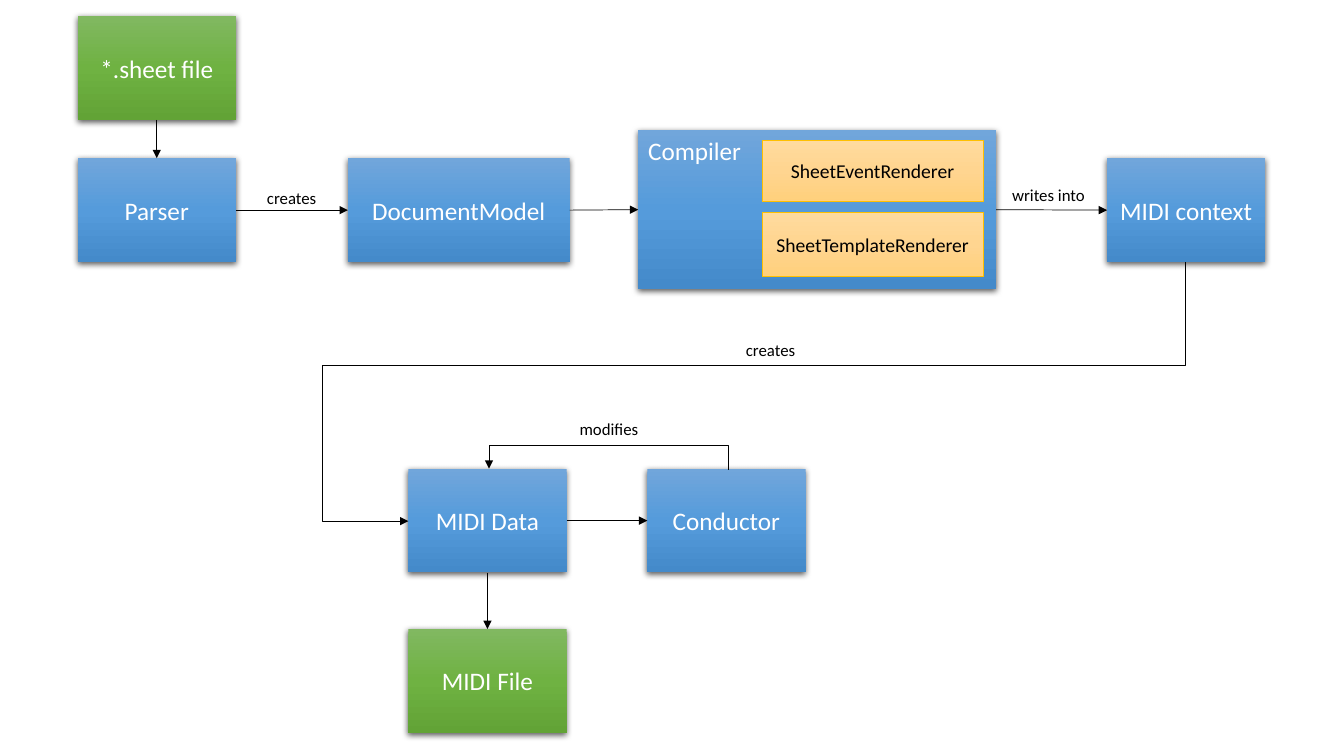
from copy import deepcopy

from lxml.etree import SubElement
from pptx import Presentation
from pptx.dml.color import RGBColor
from pptx.enum.shapes import MSO_CONNECTOR, MSO_SHAPE
from pptx.enum.text import MSO_ANCHOR, MSO_AUTO_SIZE, PP_ALIGN
from pptx.oxml.ns import qn
from pptx.util import Inches, Pt

BLUE = ("71A6DB", "559BDB", "448ACA")
GREEN = ("81B861", "6FB242", "62A336")
AMBER = ("FFDB9E", "FFD590", "FFD07C")
BOX_W, BOX_H = 1.57, 1.03
TOP, LEFT, BOTTOM, RIGHT = range(4)


def rgb(value):
    return RGBColor.from_string(value)


def set_text(tf, text, size=18, color="FFFFFF", align=None, anchor=MSO_ANCHOR.TOP,
             wrap=True):
    tf.word_wrap = wrap
    tf.vertical_anchor = anchor
    p = tf.paragraphs[0]
    p.alignment = align
    r = p.add_run()
    r.text = text
    r.font.name, r.font.size = "Calibri", Pt(size)
    r.font.color.rgb = rgb(color)


def set_gradient(sp, colors):
    sp.fill.gradient()
    sp.fill.gradient_angle = 270
    stops = sp._element.spPr.find(qn("a:gradFill")).find(qn("a:gsLst"))
    stops.append(deepcopy(stops[0]))
    for i, (stop, color) in enumerate(zip(sp.fill.gradient_stops, colors)):
        stop.position = i / 2
        stop.color.rgb = rgb(color)


def add_shadow(sp):
    effects = sp._element.spPr.find(qn("a:effectLst"))
    shadow = SubElement(effects, qn("a:outerShdw"), blurRad=str(Pt(4.5)),
                        dist=str(Pt(1.5)), dir="5400000", algn="ctr", rotWithShape="0")
    color = SubElement(shadow, qn("a:srgbClr"), val="000000")
    SubElement(color, qn("a:alpha"), val="63000")


def add_box(s, text, x, y, w=BOX_W, h=BOX_H, colors=BLUE, border=None, **text_format):
    sp = s.shapes.add_shape(MSO_SHAPE.RECTANGLE, Inches(x), Inches(y), Inches(w), Inches(h))
    sp.shadow.inherit = False
    set_gradient(sp, colors)
    if border:
        sp.line.color.rgb = rgb(border)
        sp.line.width = Pt(0.5)
    else:
        sp.line.fill.background()
        add_shadow(sp)
    set_text(sp.text_frame, text,
             **{"align": PP_ALIGN.CENTER, "anchor": MSO_ANCHOR.MIDDLE, **text_format})
    return sp


def add_label(s, text, x, y, w=0.7):
    box = s.shapes.add_textbox(Inches(x), Inches(y), Inches(w), Inches(0.3))
    set_text(box.text_frame, text, size=12, color="000000", wrap=False)
    box.text_frame.auto_size = MSO_AUTO_SIZE.SHAPE_TO_FIT_TEXT


def style_arrow(cxn):
    cxn.line.color.rgb = rgb("000000")
    cxn.line.width = Pt(0.5)
    SubElement(cxn.line._get_or_add_ln(), qn("a:tailEnd"), type="triangle")
    SubElement(cxn._element.spPr, qn("a:effectLst"))


def add_arrow(s, source, target, start=RIGHT, end=LEFT):
    cxn = s.shapes.add_connector(MSO_CONNECTOR.STRAIGHT, 0, 0, 0, 0)
    cxn.begin_connect(source, start)
    cxn.end_connect(target, end)
    style_arrow(cxn)


def add_elbow(s, start, end, preset, rotation, adjustments, flip=False):
    """Bent arrow that leaves vertically, so its frame is turned a quarter."""
    (x1, y1), (x2, y2) = start, end
    w, h = abs(y2 - y1), abs(x2 - x1)
    left, top = (x1 + x2 - w) / 2, (y1 + y2 - h) / 2
    ys = (top + h, top) if flip else (top, top + h)
    cxn = s.shapes.add_connector(MSO_CONNECTOR.ELBOW, Inches(left), Inches(ys[0]),
                                 Inches(left + w), Inches(ys[1]))
    spPr = cxn._element.spPr
    spPr.find(qn("a:xfrm")).set("rot", str(rotation * 60000))
    geom = spPr.find(qn("a:prstGeom"))
    geom.set("prst", preset)
    guides = geom.find(qn("a:avLst"))
    for i, value in enumerate(adjustments, 1):
        SubElement(guides, qn("a:gd"), name=f"adj{i}", fmla=f"val {round(value * 100000)}")
    style_arrow(cxn)


def add_compiler(s, x, y, w=3.55, h=1.58):
    sp = add_box(s, "Compiler", x, y, w, h, align=PP_ALIGN.LEFT, anchor=MSO_ANCHOR.TOP)
    for text, dy, height in (("SheetEventRenderer", 0.1, 0.61),
                             ("SheetTemplateRenderer", 0.82, 0.63)):
        add_box(s, text, x + 1.23, y + dy, 2.19, height, AMBER, border="FFC000",
                size=14, color="000000")
    return sp


def add_compile_row(s, x, y):
    # Boxes from the sheet file to the MIDI context
    sheet = add_box(s, "*.sheet file", x, y, colors=GREEN)
    row = y + 1.41
    parser = add_box(s, "Parser", x, row)
    model = add_box(s, "DocumentModel", x + 2.68, row, 2.2)
    compiler = add_compiler(s, x + 5.56, row - 0.28)
    context = add_box(s, "MIDI context", x + 10.21, row)

    # Arrows and their labels
    add_arrow(s, sheet, parser, BOTTOM, TOP)
    for source, target in ((parser, model), (model, compiler), (compiler, context)):
        add_arrow(s, source, target)
    add_label(s, "creates", x + 1.78, row + 0.24)
    add_label(s, "writes into", x + 9.17, row + 0.21, 0.93)


def add_output_row(s, x, y):
    # Boxes around the MIDI data
    data = add_box(s, "MIDI Data", x, y)
    conductor = add_box(s, "Conductor", x + 2.37, y)
    midi_file = add_box(s, "MIDI File", x, y + 1.59, colors=GREEN)

    # Arrows and the conductor's feedback loop
    add_arrow(s, data, conductor)
    add_arrow(s, data, midi_file, BOTTOM, TOP)
    add_elbow(s, (x + 3.17, y + 0.01), (x + 0.8, y), "bentConnector3", 270, [25], flip=True)
    add_label(s, "modifies", x + 1.6, y - 0.54, 0.79)


def main():
    prs = Presentation()
    prs.slide_width, prs.slide_height = Inches(13.33), Inches(7.5)
    s = prs.slides.add_slide(prs.slide_layouts[6])
    add_compile_row(s, 0.77, 0.16)
    add_output_row(s, 4.05, 4.65)

    # Link from the MIDI context down to the MIDI data
    add_elbow(s, (11.76, 2.6), (4.05, 5.17), "bentConnector4", 90, [0.4, 1.11])
    add_label(s, "creates", 7.3, 3.32)
    prs.save("out.pptx")


if __name__ == "__main__":
    main()
